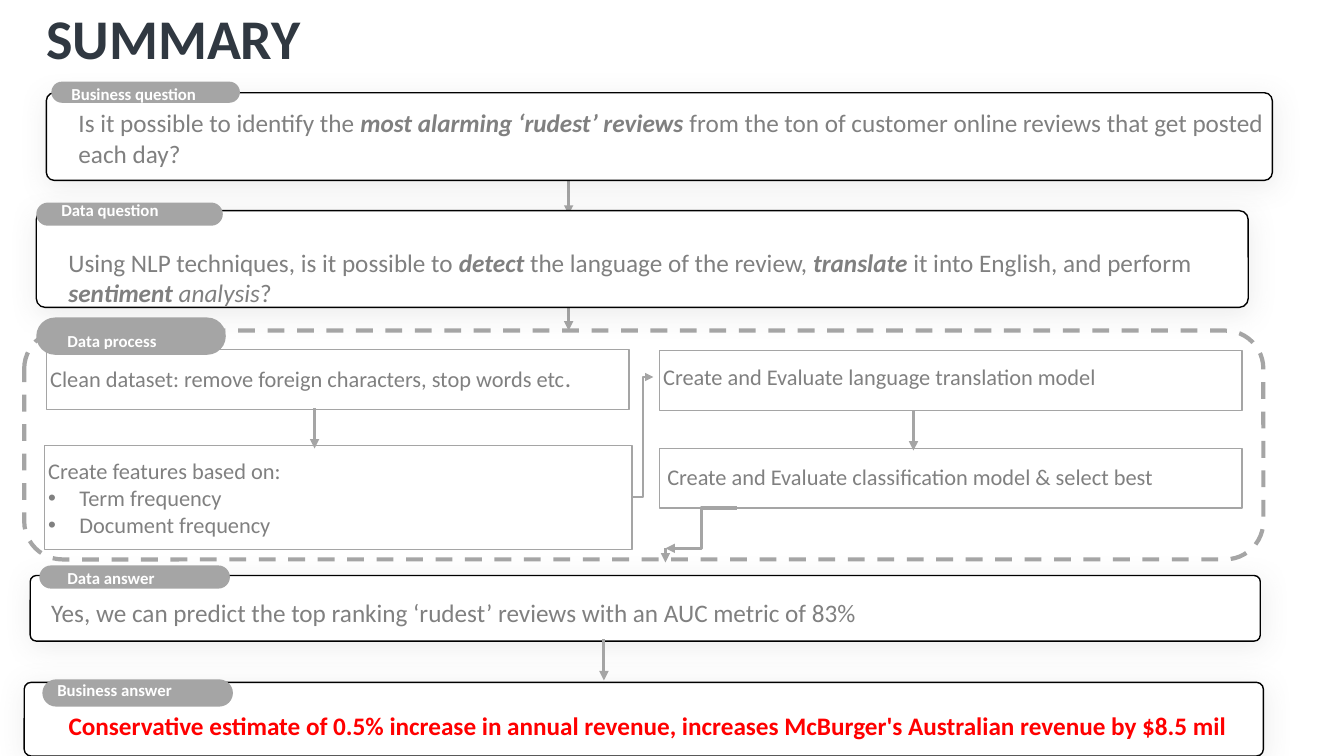
from dataclasses import dataclass

from lxml import etree
from pptx import Presentation
from pptx.dml.color import RGBColor
from pptx.enum.dml import MSO_LINE
from pptx.enum.shapes import MSO_CONNECTOR, MSO_SHAPE
from pptx.enum.text import MSO_AUTO_SIZE, PP_ALIGN
from pptx.oxml.ns import qn
from pptx.util import Inches, Pt

ROUND, RECT = MSO_SHAPE.ROUNDED_RECTANGLE, MSO_SHAPE.RECTANGLE
STRAIGHT, ELBOW = MSO_CONNECTOR.STRAIGHT, MSO_CONNECTOR.ELBOW
DASH = MSO_LINE.DASH
GROW = MSO_AUTO_SIZE.SHAPE_TO_FIT_TEXT
LEFT, CENTER = PP_ALIGN.LEFT, PP_ALIGN.CENTER

WHITE = RGBColor(0xFF, 0xFF, 0xFF)
BLACK = RGBColor(0x00, 0x00, 0x00)
GRAY = RGBColor(0xA5, 0xA5, 0xA5)
TEXT_GRAY = RGBColor(0x80, 0x80, 0x80)
RED = RGBColor(0xFF, 0x00, 0x00)
NAVY = RGBColor(0x30, 0x38, 0x41)
FONT = "Calibri"

Area = tuple[float, float, float, float]
Point = tuple[float, float]


@dataclass(frozen=True)
class Span:
    text: str
    bold: bool = False
    italic: bool = False
    size: float | None = None


@dataclass(frozen=True)
class Panel:
    frame: Area
    tag: Area
    label: str
    label_area: Area
    body_area: Area
    body: list[Span]
    color: RGBColor = TEXT_GRAY
    align: PP_ALIGN = LEFT
    spacing: float | None = None


@dataclass(frozen=True)
class Step:
    frame: Area
    body_area: Area
    heading: list[Span]
    bullets: tuple[str, ...] = ()


@dataclass(frozen=True)
class Arrow:
    start: Point
    end: Point
    kind: MSO_CONNECTOR = STRAIGHT
    width: float = 2.25


PANELS = [
    Panel((0.46, 0.92, 12.16, 0.87), (0.51, 0.81, 1.87, 0.21),
          "Business question", (0.61, 0.78, 3.17, 0.2), (0.68, 1.02, 11.98, 0.71),
          [Span("Is it possible to identify the "),
           Span("most alarming ‘rudest’ reviews", bold=True, italic=True),
           Span(" from the ton of customer online reviews that get posted each day?")]),
    Panel((0.36, 2.09, 12.02, 0.96), (0.36, 2.01, 1.85, 0.23),
          "Data question", (0.51, 1.93, 3.14, 0.3), (0.58, 2.4, 11.85, 0.71),
          [Span("Using NLP techniques, is it possible to "),
           Span("detect", bold=True, italic=True),
           Span(" the language of the review, "),
           Span("translate", bold=True, italic=True),
           Span(" it into English, and perform "),
           Span("sentiment ", bold=True, italic=True),
           Span("analysis", italic=True), Span("?")]),
    Panel((0.3, 5.71, 12.2, 0.65), (0.39, 5.61, 1.89, 0.23),
          "Data answer", (0.57, 5.58, 3.19, 0.3), (0.41, 5.88, 12.02, 0.4),
          [Span("Yes, we can predict the top ranking ‘rudest’ reviews "
                "with an AUC metric of 83%")]),
    Panel((0.24, 6.77, 12.29, 0.73), (0.42, 6.74, 1.89, 0.27),
          "Business answer", (0.47, 6.69, 3.2, 0.23), (0.37, 6.94, 12.11, 0.44),
          [Span("Conservative estimate of 0.5% increase in annual revenue, "
                "increases McBurger's Australian revenue by $8.5 mil", bold=True)],
          RED, CENTER, 1.2),
]

STEPS = [
    Step((0.46, 3.47, 5.78, 0.59), (0.4, 3.55, 5.96, 0.4),
         [Span("Clean dataset: remove foreign characters, stop words etc"),
          Span(".", size=18)]),
    Step((0.44, 4.42, 5.83, 1.03), (0.38, 4.49, 5.02, 0.94),
         [Span("Create features based on:")], ("Term frequency", "Document frequency")),
    Step((6.54, 3.48, 5.78, 0.59), (6.48, 3.55, 5.96, 0.37),
         [Span("Create and Evaluate language translation model")]),
    Step((6.54, 4.45, 5.78, 0.59), (6.52, 4.55, 5.96, 0.37),
         [Span("Create and Evaluate classification model & select best")]),
]

# The panels cover the ends of these arrows
QUESTION_ARROWS = [Arrow((5.64, top), (5.64, top + 0.4)) for top in (1.73, 2.88)]
PROCESS_ARROWS = [
    Arrow((3.12, 4.05), (3.12, 4.45)),
    Arrow((6.27, 4.93), (6.48, 3.74), ELBOW, 1.5),
    Arrow((9.06, 4.07), (9.06, 4.47)),
    Arrow((7.31, 5.04), (6.6, 5.44), ELBOW),
    Arrow((6.6, 5.44), (6.6, 5.58)),
    Arrow((5.99, 6.34), (5.99, 6.75)),
]


def add_box(slide, kind: MSO_SHAPE, area: Area, *, fill: RGBColor | None = None,
            line: RGBColor | None = None, width: float = 1, corner: float | None = None):
    box = slide.shapes.add_shape(kind, *map(Inches, area))
    box.shadow.inherit = False
    if corner is not None:
        box.adjustments[0] = corner
    if fill is None:
        box.fill.background()
    else:
        box.fill.solid()
        box.fill.fore_color.rgb = fill
    if line is None:
        box.line.fill.background()
    else:
        box.line.color.rgb = line
        box.line.width = Pt(width)
    return box


def add_soft_shadow(box) -> None:
    effects = box._element.spPr.find(qn("a:effectLst"))
    shadow = etree.SubElement(effects, qn("a:outerShdw"), blurRad=str(Pt(20)),
                              dist=str(Pt(3)), dir="5400000", rotWithShape="0")
    color = etree.SubElement(shadow, qn("a:srgbClr"), val="595959")
    etree.SubElement(color, qn("a:alpha"), val="11000")


def write_spans(para, spans: list[Span], *, size: float, color: RGBColor) -> None:
    for span in spans:
        run = para.add_run()
        run.text = span.text
        font = run.font
        font.name, font.size = FONT, Pt(span.size or size)
        font.bold, font.italic = span.bold, span.italic
        font.color.rgb = color


def add_text(slide, area: Area, spans: list[Span], *, size: float, color: RGBColor,
             align: PP_ALIGN = LEFT, spacing: float | None = None):
    frame = slide.shapes.add_textbox(*map(Inches, area)).text_frame
    frame.word_wrap = True
    frame.auto_size = GROW
    para = frame.paragraphs[0]
    para.alignment = align
    para.line_spacing = spacing
    write_spans(para, spans, size=size, color=color)
    return frame


def add_bullet(frame, text: str) -> None:
    para = frame.add_paragraph()
    properties = para._p.get_or_add_pPr()
    properties.set("marL", str(Inches(0.31)))
    properties.set("indent", str(-Inches(0.31)))
    etree.SubElement(properties, qn("a:buFont"), typeface="Arial")
    etree.SubElement(properties, qn("a:buChar"), char="•")
    write_spans(para, [Span(text)], size=16, color=TEXT_GRAY)


def add_tag(slide, area: Area, label: str, label_area: Area) -> None:
    add_box(slide, ROUND, area, fill=GRAY, corner=0.5)
    add_text(slide, label_area, [Span(label, bold=True)], size=12, color=WHITE)


def add_panel(slide, panel: Panel) -> None:
    add_soft_shadow(add_box(slide, ROUND, panel.frame, fill=WHITE, line=BLACK, corner=0.092))
    add_tag(slide, panel.tag, panel.label, panel.label_area)
    add_text(slide, panel.body_area, panel.body, size=18, color=panel.color,
             align=panel.align, spacing=panel.spacing)


def add_step(slide, step: Step) -> None:
    add_box(slide, RECT, step.frame, line=GRAY)
    frame = add_text(slide, step.body_area, step.heading, size=16, color=TEXT_GRAY)
    for bullet in step.bullets:
        add_bullet(frame, bullet)


def add_arrow(slide, arrow: Arrow) -> None:
    link = slide.shapes.add_connector(arrow.kind, *map(Inches, arrow.start + arrow.end))
    link.line.color.rgb = GRAY
    link.line.width = Pt(arrow.width)
    etree.SubElement(link.line._get_or_add_ln(), qn("a:tailEnd"), type="triangle")
    etree.SubElement(link._element.spPr, qn("a:effectLst"))


def main() -> None:
    deck = Presentation()
    deck.slide_width, deck.slide_height = Inches(13.33), Inches(7.5)
    slide = deck.slides.add_slide(deck.slide_layouts[6])

    # Title
    title = add_text(slide, (0.41, 0.01, 8.79, 0.72), [Span("SUMMARY", bold=True)],
                     size=40, color=NAVY)
    title.margin_left = title.margin_right = Inches(0.05)
    title.margin_top = title.margin_bottom = Inches(0.02)

    # Questions and answers
    for arrow in QUESTION_ARROWS:
        add_arrow(slide, arrow)
    for panel in PANELS:
        add_panel(slide, panel)

    # Data process
    border = add_box(slide, ROUND, (0.24, 3.28, 12.29, 2.27), line=GRAY, width=3)
    border.line.dash_style = DASH
    add_tag(slide, (0.36, 3.15, 1.88, 0.37), "Data process", (0.57, 3.23, 3.18, 0.3))
    for step in STEPS:
        add_step(slide, step)
    for arrow in PROCESS_ARROWS:
        add_arrow(slide, arrow)

    deck.save("out.pptx")


if __name__ == "__main__":
    main()
